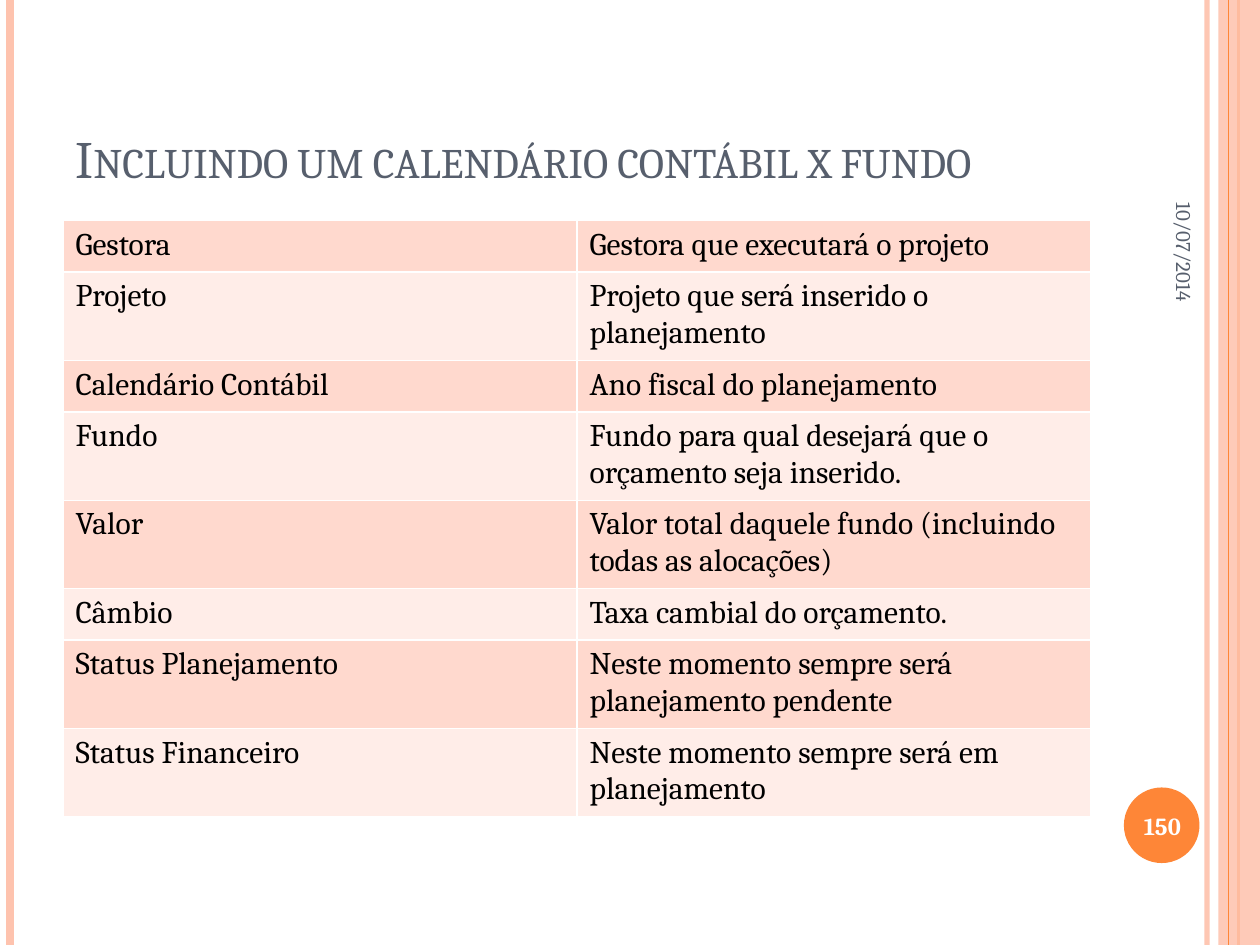
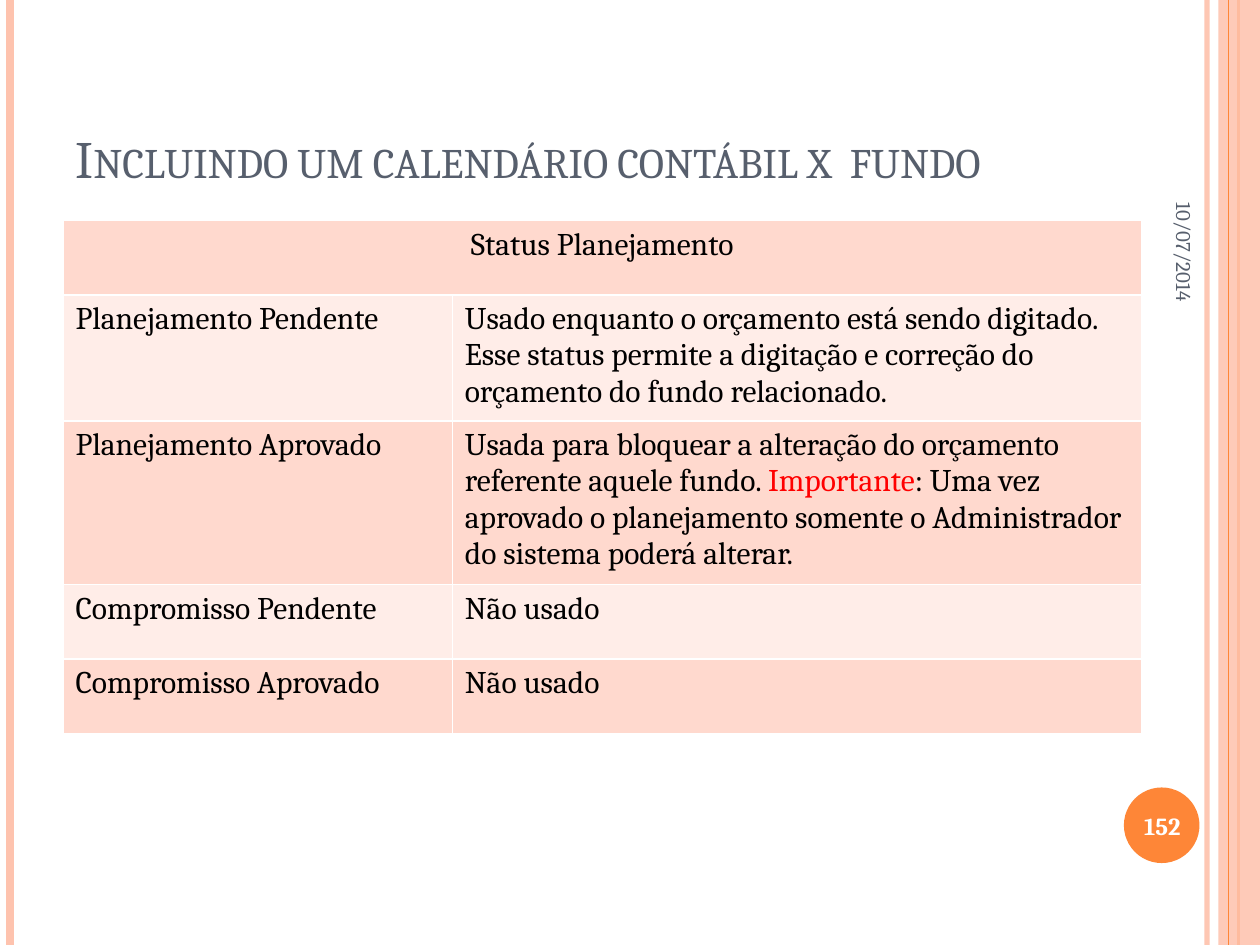
from lxml import etree
from pptx import Presentation
from pptx.dml.color import RGBColor
from pptx.enum.shapes import MSO_CONNECTOR, MSO_SHAPE
from pptx.enum.text import MSO_ANCHOR, PP_ALIGN
from pptx.oxml.ns import qn
from pptx.util import Inches, Pt

STRAIGHT = MSO_CONNECTOR.STRAIGHT
RECTANGLE, OVAL = MSO_SHAPE.RECTANGLE, MSO_SHAPE.OVAL
MIDDLE, BOTTOM = MSO_ANCHOR.MIDDLE, MSO_ANCHOR.BOTTOM
LEFT, CENTER, RIGHT = PP_ALIGN.LEFT, PP_ALIGN.CENTER, PP_ALIGN.RIGHT

FONT = "Cambria"
WIDTH, HEIGHT = 10, 7.5
COLORS = {
    "peach": "FEC3AE",
    "orange": "FE8637",
    "slate": "575F6D",
    "white": "FFFFFF",
    "black": "000000",
    "red": "FF0000",
    "row_dark": "FFD9CE",
    "row_light": "FFEDE8",
}

DATE = "10/07/2014"
MARGIN, TABLE_TOP = 0.5, 1.75
TITLE_AREA = (MARGIN, 0.3, 8.17, 1.25)
DATE_AREA = (8.3, 1.18, 2.2, 0.42)
BADGE_AREA = (8.92, 6.25, 0.6, 0.6)
NUMBER_AREA = (8.89, 6.27, 0.67, 0.57)
BAND_AREA = (9.67, 0, 0.33, HEIGHT)

LINES_BELOW_BAND = [(9.58, "peach", 3, 93), (0.08, "peach", 4.5, 100), (9.83, "orange", 1.5, 100)]
LINES_ABOVE_BAND = [(9.75, "orange", 0.75, 100)]

SLIDES = [
    {
        "title": "Incluindo um calendário contábil x fundo",
        "number": "150",
        "columns": (4.08, 4.08),
        "row_height": 0.41,
        "rows": [
            ("Gestora", "Gestora que executará o projeto"),
            ("Projeto", "Projeto que será inserido o planejamento"),
            ("Calendário Contábil", "Ano fiscal do planejamento"),
            ("Fundo", "Fundo para qual desejará que o orçamento seja inserido."),
            ("Valor", "Valor total daquele fundo (incluindo todas as alocações)"),
            ("Câmbio", "Taxa cambial do orçamento."),
            ("Status Planejamento", "Neste momento sempre será planejamento pendente"),
            ("Status Financeiro", "Neste momento sempre será em planejamento"),
        ],
    },
    {
        "title": "Incluindo um calendário contábil x  fundo",
        "number": "152",
        "columns": (3.09, 5.47),
        "row_height": 0.59,
        "rows": [
            ("Status Planejamento",),
            ("Planejamento Pendente",
             "Usado enquanto o orçamento está sendo digitado. Esse status permite "
             "a digitação e correção do orçamento do fundo relacionado."),
            ("Planejamento Aprovado",
             [("Usada para bloquear a alteração do orçamento referente aquele fundo. ", "black"),
              ("Importante", "red"),
              (": Uma vez aprovado o planejamento somente o Administrador "
               "do sistema poderá alterar.", "black")]),
            ("Compromisso Pendente", "Não usado"),
            ("Compromisso Aprovado", "Não usado"),
        ],
    },
]


def rgb(name):
    return RGBColor.from_string(COLORS[name])


def inches(area):
    return [Inches(length) for length in area]


def set_opacity(shape, percent):
    if percent < 100:
        color = next(shape.element.iter(qn("a:srgbClr")))
        etree.SubElement(color, qn("a:alpha"), val=str(percent * 1000))


def add_span(para, text, size, color, bold=False):
    span = para.add_run()
    span.text = text
    span.font.name = FONT
    span.font.size = Pt(size)
    span.font.bold = bold
    span.font.color.rgb = rgb(color)
    return span


def add_label(page, area, text, size, color, align, anchor, bold=False):
    box = page.shapes.add_textbox(*inches(area))
    frame = box.text_frame
    frame.word_wrap = True
    frame.vertical_anchor = anchor
    para = frame.paragraphs[0]
    para.alignment = align
    return box, add_span(para, text, size, color, bold)


def add_vertical_line(page, x, color, width, opacity):
    line = page.shapes.add_connector(STRAIGHT, *inches((x, 0, x, HEIGHT)))
    line.line.color.rgb = rgb(color)
    line.line.width = Pt(width)
    set_opacity(line, opacity)
    etree.SubElement(line.element.spPr, qn("a:effectLst"))


def add_plain_shape(page, kind, area, color, opacity=100):
    shape = page.shapes.add_shape(kind, *inches(area))
    shape.shadow.inherit = False
    shape.fill.solid()
    shape.fill.fore_color.rgb = rgb(color)
    shape.line.fill.background()
    set_opacity(shape, opacity)


def add_frame(page):
    for line in LINES_BELOW_BAND:
        add_vertical_line(page, *line)
    add_plain_shape(page, RECTANGLE, BAND_AREA, "peach", 87)
    for line in LINES_ABOVE_BAND:
        add_vertical_line(page, *line)
    add_plain_shape(page, OVAL, BADGE_AREA, "orange")


def style_cell(cell, fill):
    properties = cell._tc.get_or_add_tcPr()
    for side in ("lnL", "lnR", "lnT", "lnB"):
        border = etree.SubElement(properties, qn(f"a:{side}"), w=str(Pt(1)))
        solid = etree.SubElement(border, qn("a:solidFill"))
        etree.SubElement(solid, qn("a:srgbClr"), val=COLORS["white"])
    cell.fill.solid()
    cell.fill.fore_color.rgb = rgb(fill)


def add_status_table(page, rows, columns, row_height):
    area = (MARGIN, TABLE_TOP, sum(columns), row_height * len(rows))
    table = page.shapes.add_table(len(rows), len(columns), *inches(area)).table
    table.first_row = table.horz_banding = False
    for column, width in zip(table.columns, columns):
        column.width = Inches(width)
    for index, texts in enumerate(rows):
        table.rows[index].height = Inches(row_height)
        cells = list(table.rows[index].cells)
        for cell in cells:
            style_cell(cell, "row_light" if index % 2 else "row_dark")
        spans_row = len(texts) < len(columns)
        if spans_row:
            cells[0].merge(cells[-1])
        for cell, content in zip(cells, texts):
            para = cell.text_frame.paragraphs[0]
            para.alignment = CENTER if spans_row else LEFT
            parts = [(content, "black")] if isinstance(content, str) else content
            for text, color in parts:
                add_span(para, text, 18, color)


def main():
    deck = Presentation()
    deck.slide_width, deck.slide_height = Inches(WIDTH), Inches(HEIGHT)
    for content in SLIDES:
        page = deck.slides.add_slide(deck.slide_layouts[6])
        add_frame(page)
        _, title = add_label(page, TITLE_AREA, content["title"], 30, "slate", LEFT, BOTTOM)
        title.font._element.set("cap", "small")
        add_status_table(page, content["rows"], content["columns"], content["row_height"])
        date, _ = add_label(page, DATE_AREA, DATE, 12, "slate", RIGHT, MIDDLE)
        date.rotation = 90
        add_label(page, NUMBER_AREA, content["number"], 14, "white", CENTER, MIDDLE, bold=True)
    deck.save("out.pptx")


if __name__ == "__main__":
    main()
